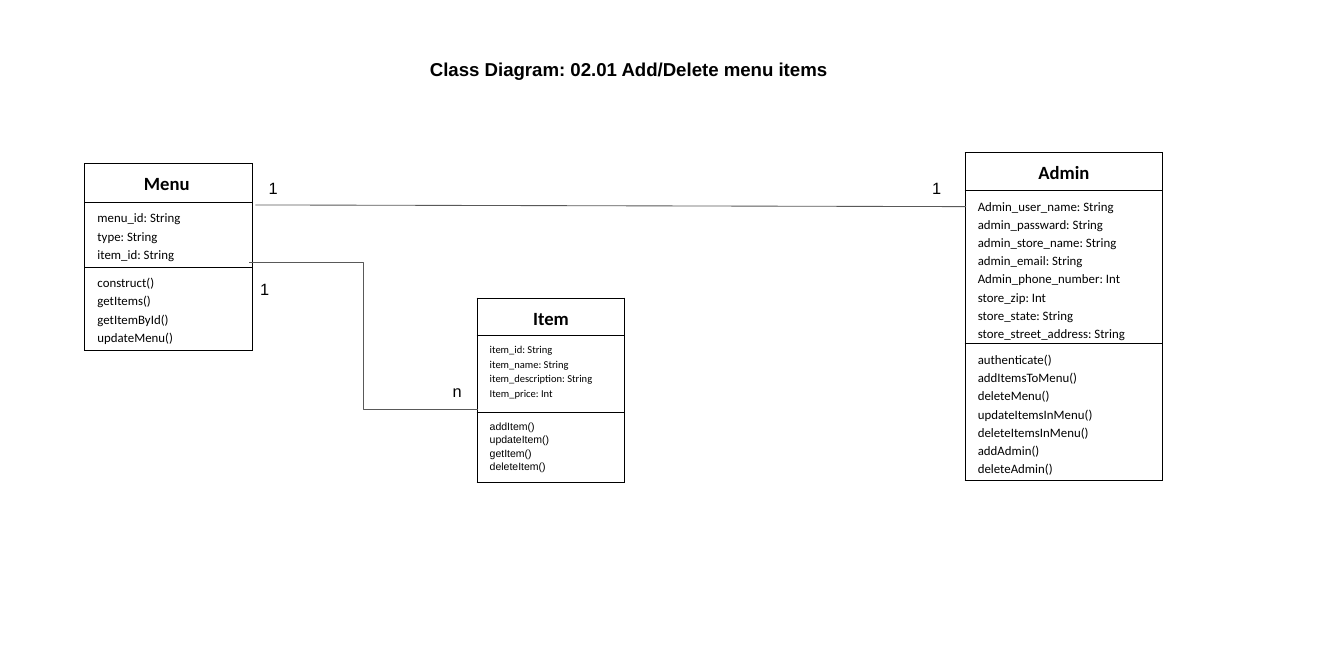
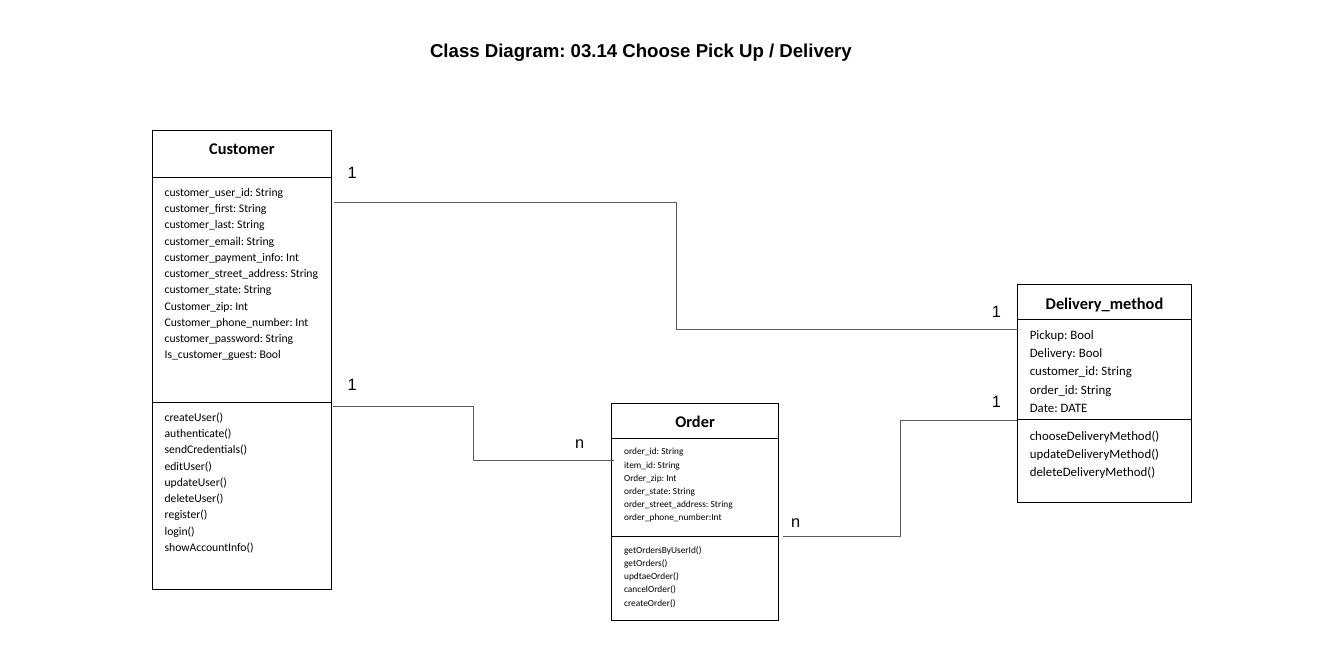
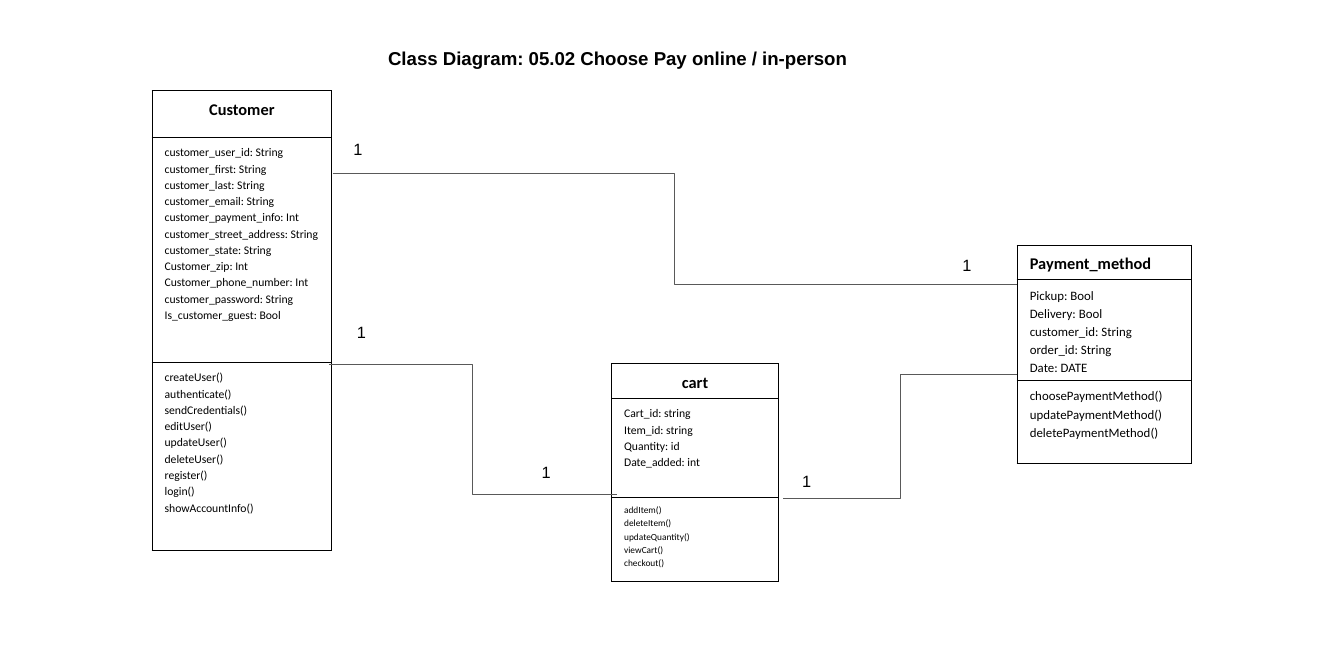
from dataclasses import dataclass

import pptx
import pptx.dml.color
import pptx.enum.shapes
import pptx.enum.text
import pptx.oxml
import pptx.oxml.ns
import pptx.util
from pptx.util import Inches

BLACK = pptx.dml.color.RGBColor(0x00, 0x00, 0x00)
GREY = pptx.dml.color.RGBColor(0x59, 0x59, 0x59)
SANS = "Arial"
CARD = "Calibri"
LEFT = pptx.enum.text.PP_ALIGN.LEFT
MID = pptx.enum.text.PP_ALIGN.CENTER
TOP = pptx.enum.text.MSO_ANCHOR.TOP
BENT = pptx.enum.shapes.MSO_CONNECTOR.ELBOW
FLAT = pptx.enum.shapes.MSO_CONNECTOR.STRAIGHT


@dataclass(frozen=True)
class Band:
    lines: tuple[str, ...]
    size: int
    high: float
    font: str = CARD
    align: int = LEFT
    bold: bool = False


@dataclass(frozen=True)
class Card:
    left: float
    top: float
    wide: float
    bands: tuple[Band, ...]


@dataclass(frozen=True)
class Link:
    start: tuple[float, float]
    end: tuple[float, float]
    kind: int = BENT


@dataclass(frozen=True)
class Count:
    text: str
    left: float
    top: float
    wide: float = 0.4


@dataclass(frozen=True)
class Title:
    text: str
    left: float
    top: float
    wide: float
    align: int = LEFT


@dataclass(frozen=True)
class Page:
    title: Title
    cards: tuple[Card, ...]
    links: tuple[Link, ...]
    counts: tuple[Count, ...]


def head(text: str, size: int, high: float, align: int = MID) -> Band:
    return Band((text,), size, high, align=align, bold=True)


def client(top: float) -> Card:
    return Card(1.81, top, 2.14, (
        head("Customer", 14, 0.56),
        Band(("customer_user_id: String", "customer_first: String",
              "customer_last: String", "customer_email: String",
              "customer_payment_info: Int", "customer_street_address: String",
              "customer_state: String", "Customer_zip: Int",
              "Customer_phone_number: Int", "customer_password: String",
              "Is_customer_guest: Bool"), 10, 2.68),
        Band(("createUser()", "authenticate()", "sendCredentials()", "editUser()",
              "updateUser()", "deleteUser()", "register()", "login()",
              "showAccountInfo()"), 10, 2.23)))


def method(word: str, top: float, align: int) -> Card:
    verbs = ("choose", "update", "delete")
    return Card(12.11, top, 2.08, (
        head(f"{word}_method", 14, 0.4, align),
        Band(("Pickup: Bool", "Delivery: Bool", "customer_id: String",
              "order_id: String", "Date: DATE"), 11, 1.2),
        Band(tuple(f"{verb}{word}Method()" for verb in verbs), 11, 0.99)))


MENU = Card(1.01, 1.95, 2, (
    head("Menu ", 16, 0.46),
    Band(("menu_id: String", "type: String", "item_id: String"), 11, 0.77),
    Band(("construct()", "getItems()", "getItemById()", "updateMenu()"), 11, 0.99)))

ITEM = Card(5.68, 3.55, 1.76, (
    head("Item", 16, 0.44),
    Band(("item_id: String", "item_name: String", "item_description: String",
          "Item_price: Int"), 9, 0.92),
    Band(("addItem()", "updateItem()", "getItem()", "deleteItem()"), 9, 0.83, SANS)))

ADMIN = Card(11.49, 1.82, 2.35, (
    head("Admin", 16, 0.45),
    Band(("Admin_user_name: String", "admin_passward: String",
          "admin_store_name: String", "admin_email: String",
          "Admin_phone_number: Int", "store_zip: Int", "store_state: String",
          "store_street_address: String"), 11, 1.82),
    Band(("authenticate()", "addItemsToMenu()", "deleteMenu()",
          "updateItemsInMenu()", "deleteItemsInMenu()", "addAdmin()",
          "deleteAdmin()"), 11, 1.62)))

ORDER = Card(7.28, 4.8, 1.99, (
    head("Order", 14, 0.42),
    Band(("order_id: String", "item_id: String", "Order_zip: Int",
          "order_state: String", "order_street_address: String",
          "order_phone_number:Int"), 8, 1.17),
    Band(("getOrdersByUserId()", "getOrders()", "updtaeOrder()", "cancelOrder()",
          "createOrder()"), 8, 1)))

CART = Card(7.28, 4.33, 1.99, (
    head("cart", 14, 0.42),
    Band(("Cart_id: string", "Item_id: string", "Quantity: id",
          "Date_added: int"), 10, 1.17),
    Band(("addItem()", "deleteItem()", "updateQuantity()", "viewCart()",
          "checkout()"), 8, 1)))

PAGES = (
    Page(Title("Class Diagram: 02.01 Add/Delete menu items", 4.99, 0.59, 4.99, MID),
         (MENU, ITEM, ADMIN),
         (Link((3.04, 2.44), (11.5, 2.46), FLAT),
          Link((2.97, 3.13), (5.69, 4.87))),
         (Count("1", 3.1, 2.02), Count("1", 11, 2.02),
          Count("1", 3, 3.22), Count("n", 5.29, 4.44))),
    Page(Title("Class Diagram: 03.14 Choose Pick Up / Delivery", 5.02, 0.36, 5.4),
         (client(1.55), method("Delivery", 3.39, MID), ORDER),
         (Link((3.96, 4.84), (7.31, 5.48)),
          Link((3.98, 2.41), (12.12, 3.92)),
          Link((12.11, 5), (9.32, 6.39))),
         (Count("1", 4.04, 4.35), Count("n", 6.75, 5.05),
          Count("1", 4.04, 1.83), Count("1", 11.71, 3.48),
          Count("1", 11.71, 4.56), Count("n", 9.32, 5.98))),
    Page(Title("Class Diagram: 05.02 Choose Pay online / in-person", 4.52, 0.46, 6.25),
         (client(1.08), method("Payment", 2.92, LEFT), CART),
         (Link((3.92, 4.34), (7.34, 5.89)),
          Link((12.11, 4.46), (9.32, 5.93)),
          Link((3.96, 2.07), (12.11, 3.39))),
         (Count("1", 4.15, 3.73, 0.37), Count("1", 6.35, 5.4, 0.64),
          Count("1", 4.11, 1.56, 0.23), Count("1", 11.36, 2.94, 0.37),
          Count("1", 9.45, 5.51, 0.37))),
)


def write(frame, lines: tuple[str, ...], size: int, font: str, align: int = LEFT,
          bold: bool = False, space: float = 1.0) -> None:
    for place, line in enumerate(lines):
        para = frame.add_paragraph() if place else frame.paragraphs[0]
        para.alignment = align
        para.line_spacing = space
        run = para.add_run()
        run.text = line
        run.font.name = font
        run.font.size = pptx.util.Pt(size)
        run.font.bold = bold
        run.font.color.rgb = BLACK


def fit(frame) -> None:
    frame.word_wrap = True
    frame.auto_size = pptx.enum.text.MSO_AUTO_SIZE.SHAPE_TO_FIT_TEXT
    frame.vertical_anchor = TOP
    frame.margin_left = frame.margin_right = Inches(0.1)
    frame.margin_top = frame.margin_bottom = Inches(0.1)


def edge(cell) -> None:
    for side in ("lnL", "lnR", "lnT", "lnB"):
        cell._tc.get_or_add_tcPr().append(pptx.oxml.parse_xml(
            f'<a:{side} {pptx.oxml.ns.nsdecls("a")} w="12700"><a:solidFill>'
            f'<a:srgbClr val="{BLACK}"/></a:solidFill></a:{side}>'))


def draw_title(slide, title: Title) -> None:
    shape = slide.shapes.title
    shape.left, shape.top = Inches(title.left), Inches(title.top)
    shape.width, shape.height = Inches(title.wide), Inches(0.47)
    fit(shape.text_frame)
    write(shape.text_frame, (title.text,), 16, SANS, title.align, True)


def draw_card(slide, card: Card) -> None:
    high = sum(band.high for band in card.bands)
    table = slide.shapes.add_table(
        len(card.bands), 1, Inches(card.left), Inches(card.top),
        Inches(card.wide), Inches(high)).table
    table.first_row = table.horz_banding = False
    for row, band in zip(table.rows, card.bands):
        row.height = Inches(band.high)
        cell = row.cells[0]
        cell.margin_left = cell.margin_right = Inches(0.15)
        cell.margin_top = cell.margin_bottom = Inches(0.07)
        edge(cell)
        cell.fill.background()
        write(cell.text_frame, band.lines, band.size, band.font, band.align,
              band.bold, 1.15)


def draw_link(slide, link: Link) -> None:
    ends = [Inches(value) for value in link.start + link.end]
    line = slide.shapes.add_connector(link.kind, *ends)
    line.line.color.rgb = GREY
    line.line.width = pptx.util.Pt(0.75)
    line._element.spPr.append(pptx.oxml.parse_xml(
        f'<a:effectLst {pptx.oxml.ns.nsdecls("a")}/>'))


def draw_count(slide, count: Count) -> None:
    box = slide.shapes.add_textbox(Inches(count.left), Inches(count.top),
                                   Inches(count.wide), Inches(0.44))
    fit(box.text_frame)
    write(box.text_frame, (count.text,), 14, SANS)


def main() -> None:
    deck = pptx.Presentation()
    deck.slide_width, deck.slide_height = Inches(16), Inches(8)
    for page in PAGES:
        slide = deck.slides.add_slide(deck.slide_layouts.get_by_name("Title Only"))
        draw_title(slide, page.title)
        for card in page.cards:
            draw_card(slide, card)
        for link in page.links:
            draw_link(slide, link)
        for count in page.counts:
            draw_count(slide, count)
    deck.save("out.pptx")


main()
